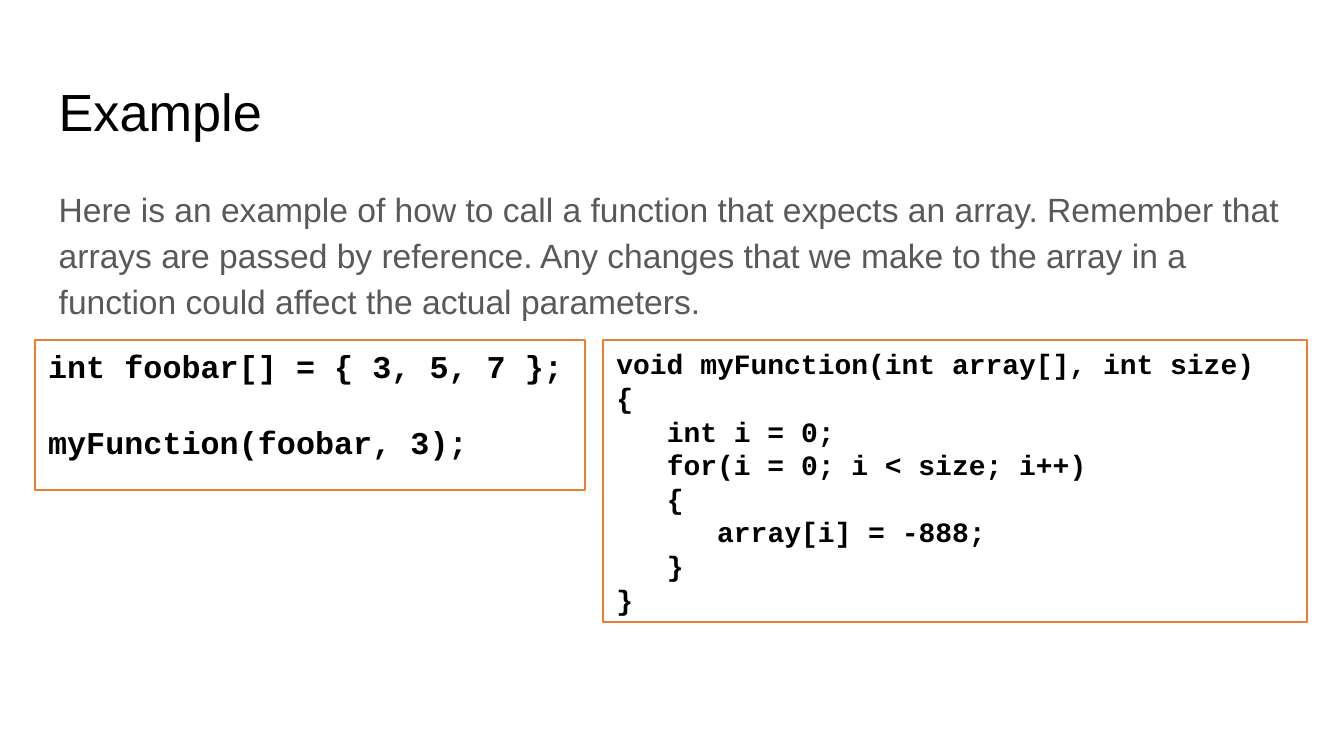
from lxml import etree
from pptx import Presentation, util as u
from pptx.dml.color import RGBColor
from pptx.enum import shapes, text
from pptx.oxml.ns import qn

TITLE = "Example"
BODY = ("Here is an example of how to call a function that expects an array. "
        "Remember that arrays are passed by reference. Any changes that we make "
        "to the array in a function could affect the actual parameters. ")

# Each code line: indent level, blank lines above, text
CALL = [(0, 0, "int foobar[] = { 3, 5, 7 };"),
        (0, 1, "myFunction(foobar, 3);")]
FUNCTION = [(0, 0, "void myFunction(int array[], int size)"),
            (0, 0, "{"),
            (1, 0, "int i = 0;"),
            (1, 0, "for(i = 0; i < size; i++)"),
            (1, 0, "{"),
            (2, 0, "array[i] = -888;"),
            (1, 0, "}"),
            (0, 0, "}")]

# Left, width, height in cm, text size in points, code lines
CODE_TOP = 6.43
CODE_BOXES = [(0.66, 10.39, 2.84, 17, CALL),
              (11.4, 13.31, 5.33, 15, FUNCTION)]
INDENT_CHARS, CHAR_WIDTH, LINE_HEIGHT = 3, 0.6, 1.2


def rgb(value):
    """Turn a hex string into a colour."""
    return RGBColor.from_string(value)


def place(sp, left, top, width, height):
    """Position a shape, in cm."""
    sp.left, sp.top, sp.width, sp.height = map(u.Cm, (left, top, width, height))


def frame(sp, inset):
    """Set up a wrapped, top-anchored text frame."""
    tf = sp.text_frame
    tf.word_wrap = True
    tf.auto_size = text.MSO_AUTO_SIZE.NONE
    tf.vertical_anchor = text.MSO_ANCHOR.TOP
    tf.margin_left = tf.margin_right = u.Cm(0.25)
    tf.margin_top = tf.margin_bottom = u.Cm(inset)
    return tf


def add_run(p, words, size, font, color, bold=False):
    """Add one formatted run to a left-aligned paragraph."""
    p.alignment = text.PP_ALIGN.LEFT
    r = p.add_run()
    r.text = words
    r.font.size, r.font.name, r.font.bold = u.Pt(size), font, bold
    r.font.color.rgb = rgb(color)


def add_code(s, left, width, height, size, lines):
    """Draw an outlined box of code, indented by level."""
    sp = s.shapes.add_shape(shapes.MSO_SHAPE.RECTANGLE, 0, 0, 0, 0)
    place(sp, left, CODE_TOP, width, height)
    sp.shadow.inherit = False
    sp.fill.solid()
    sp.fill.fore_color.rgb = rgb("FFFFFF")
    sp.line.color.rgb = rgb("ED7D31")
    sp.line.width = u.Pt(1)
    tf = frame(sp, 0.13)
    for i, (level, blanks, words) in enumerate(lines):
        p = tf.add_paragraph() if i else tf.paragraphs[0]
        p.space_before = u.Pt(blanks * size * LINE_HEIGHT)
        indent = level * INDENT_CHARS * CHAR_WIDTH * size
        p._p.get_or_add_pPr().set("marL", str(u.Pt(indent)))
        add_run(p, words, size, "Courier New", "000000", True)


prs = Presentation()
prs.slide_width, prs.slide_height = u.Cm(25.4), u.Cm(14.29)
s = prs.slides.add_slide(prs.slide_layouts[1])

title, body = s.placeholders
place(title, 0.86, 1.24, 23.67, 1.6)
add_run(frame(title, 0.25).paragraphs[0], TITLE, 28, "Arial", "000000")

place(body, 0.86, 3.2, 23.67, 9.5)
p = frame(body, 0.25).paragraphs[0]
p.line_spacing, p.space_before, p.space_after = 1.15, u.Pt(0), u.Pt(16)
pPr = p._p.get_or_add_pPr()
pPr.set("marL", "0")
pPr.set("indent", "0")
etree.SubElement(pPr, qn("a:buNone"))
add_run(p, BODY, 18, "Arial", "595959")

for box in CODE_BOXES:
    add_code(s, *box)

prs.save("out.pptx")
